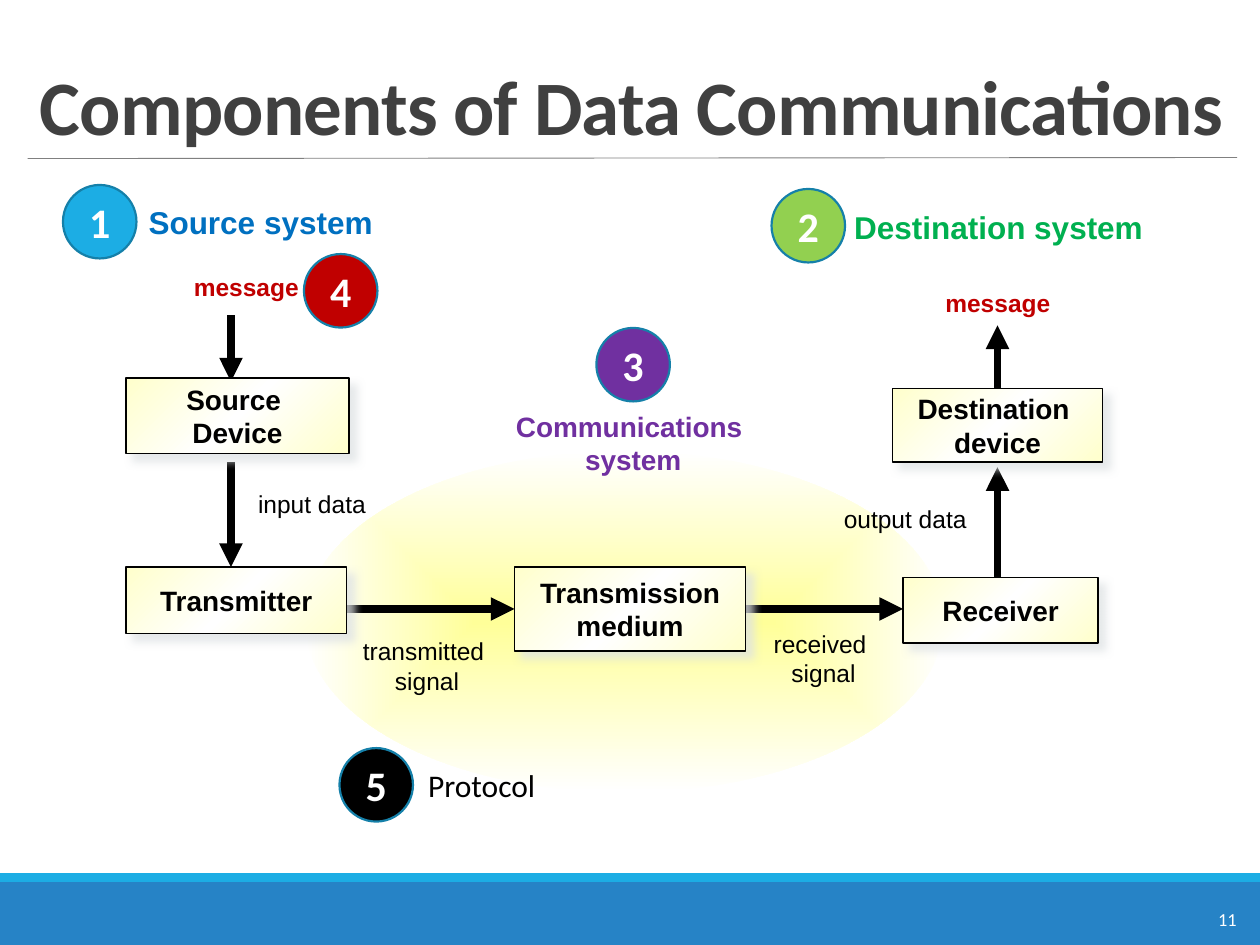
from dataclasses import dataclass

import pptx
import pptx.dml.color
import pptx.enum.shapes
import pptx.enum.text
import pptx.oxml
import pptx.oxml.ns
import pptx.shapes.autoshape
import pptx.slide
import pptx.util

Pt = pptx.util.Pt
ALIGN = pptx.enum.text.PP_ALIGN
ANCHOR = pptx.enum.text.MSO_ANCHOR
SHAPE = pptx.enum.shapes.MSO_SHAPE
DRAWING_NS = 'xmlns:a="http://schemas.openxmlformats.org/drawingml/2006/main"'

COLORS = {
    "footer": "2683C6", "accent": "1CADE4", "rule": "808080", "title": "404040",
    "white": "FFFFFF", "black": "000000", "message": "C00000",
    "source": "0070C0", "destination": "00B050", "system": "7030A0",
    "green": "92D050", "badge_line": "1580A9",
    "glow": "FFFF99", "box": "FFFFCC", "shadow": "DFE3E5",
}
BADGE_SIZE = 42
ARROW_WIDTH = 4.5


@dataclass
class Label:
    text: str
    left: float
    top: float
    width: float
    height: float
    size: float = 14
    color: str = "black"
    bold: bool = False
    font: str = "Arial"
    align: ALIGN = ALIGN.CENTER
    wrap: bool = True
    anchor: ANCHOR = ANCHOR.TOP


@dataclass
class Box:
    text: str
    left: float
    top: float
    width: float
    height: float


@dataclass
class Badge:
    number: int
    left: float
    top: float
    color: str


@dataclass
class Arrow:
    x1: float
    y1: float
    x2: float
    y2: float


LABELS = [
    Label("message", 56.9, 151.9, 167.8, 24.5, color="message", bold=True),
    Label("message", 532.8, 161.3, 74.9, 24.5, color="message", bold=True, wrap=False),
    Label("Communications \nsystem", 285.1, 230.4, 153.4, 46, 16, "system", True, wrap=False),
    Label("Source system", 77.8, 112.3, 142.6, 28.8, 18, "source", True,
          align=ALIGN.LEFT, wrap=False),
    Label("Destination system", 481, 115.2, 179.3, 28.8, 18, "destination", True,
          align=ALIGN.LEFT, wrap=False),
    Label("input data", 131.8, 275.8, 92.9, 23.8),
    Label("transmitted \nsignal", 174.2, 360, 139.7, 41),
    Label("received \nsignal", 409, 355.7, 123.1, 41),
    Label("output data", 468, 284.4, 98.6, 23.8),
    Label("Protocol", 237.6, 434.2, 76.3, 28.8, 18, font="Calibri",
          align=ALIGN.LEFT, wrap=False),
]
BOXES = [
    Box("Source \nDevice", 72, 216, 127.5, 43.2),
    Box("Transmitter", 72, 324, 126, 38),
    Box("Transmission\nmedium", 294, 324, 132, 48),
    Box("Receiver", 516, 330, 111.6, 37.4),
    Box("Destination \ndevice", 510, 222, 120, 42),
]
BADGES = [
    Badge(1, 36, 105.7, "accent"),
    Badge(2, 440.9, 108, "green"),
    Badge(3, 340.8, 187.4, "system"),
    Badge(4, 173.7, 145.2, "message"),
    Badge(5, 194, 427.5, "black"),
]
ARROWS = [
    Arrow(132, 180, 132, 218),
    Arrow(132, 264, 132, 324),
    Arrow(198, 348, 294, 348),
    Arrow(570, 222, 570, 186),
    Arrow(570, 333.5, 570, 267),
    Arrow(408, 348, 516, 348),
]


def rgb(name: str) -> pptx.dml.color.RGBColor:
    return pptx.dml.color.RGBColor.from_string(COLORS[name])


def write_text(shape: pptx.shapes.autoshape.Shape, label: Label) -> None:
    frame = shape.text_frame
    frame.text = label.text
    frame.word_wrap = label.wrap
    frame.vertical_anchor = label.anchor
    for para in frame.paragraphs:
        para.alignment = label.align
        for span in para.runs:
            span.font.name = label.font
            span.font.size = Pt(label.size)
            span.font.bold = label.bold
            span.font.color.rgb = rgb(label.color)


def add_label(page: pptx.slide.Slide, label: Label) -> pptx.shapes.autoshape.Shape:
    box = page.shapes.add_textbox(
        Pt(label.left), Pt(label.top), Pt(label.width), Pt(label.height))
    write_text(box, label)
    return box


def add_shape(page: pptx.slide.Slide, kind: SHAPE, left: float, top: float, width: float,
              height: float, fill: str = "", line: str = "",
              line_width: float = 1) -> pptx.shapes.autoshape.Shape:
    """Add a shadowless shape; an empty fill or line name means none."""
    shape = page.shapes.add_shape(kind, Pt(left), Pt(top), Pt(width), Pt(height))
    shape.shadow.inherit = False
    if fill:
        shape.fill.solid()
        shape.fill.fore_color.rgb = rgb(fill)
    else:
        shape.fill.background()
    if line:
        shape.line.color.rgb = rgb(line)
        shape.line.width = Pt(line_width)
    else:
        shape.line.fill.background()
    return shape


def set_gradient(shape: pptx.shapes.autoshape.Shape, names: list[str], direction: str) -> None:
    """Replace an absent fill with evenly spaced stops along the given direction XML."""
    stops = "".join(
        f'<a:gs pos="{100000 * index // (len(names) - 1)}">'
        f'<a:srgbClr val="{COLORS[name]}"/></a:gs>'
        for index, name in enumerate(names))
    gradient = pptx.oxml.parse_xml(
        f'<a:gradFill {DRAWING_NS} rotWithShape="1">'
        f'<a:gsLst>{stops}</a:gsLst>{direction}</a:gradFill>')
    properties = shape._element.spPr
    properties.replace(properties.find(pptx.oxml.ns.qn("a:noFill")), gradient)


def add_box(page: pptx.slide.Slide, box: Box) -> None:
    shape = add_shape(page, SHAPE.RECTANGLE, box.left, box.top, box.width, box.height,
                      line="black")
    set_gradient(shape, ["box", "white", "box"], '<a:lin ang="2700000" scaled="1"/>')
    effects = shape._element.spPr.find(pptx.oxml.ns.qn("a:effectLst"))
    effects.append(pptx.oxml.parse_xml(
        f'<a:outerShdw {DRAWING_NS} blurRad="{Pt(5)}" dist="{Pt(5.7)}" dir="2700000" '
        f'algn="ctr" rotWithShape="0"><a:srgbClr val="{COLORS["shadow"]}">'
        '<a:alpha val="75000"/></a:srgbClr></a:outerShdw>'))
    write_text(shape, Label(box.text, box.left, box.top, box.width, box.height, 16,
                            bold=True, wrap=False, anchor=ANCHOR.MIDDLE))


def add_badge(page: pptx.slide.Slide, badge: Badge) -> None:
    place = (badge.left, badge.top, BADGE_SIZE, BADGE_SIZE)
    shape = add_shape(page, SHAPE.OVAL, *place, badge.color, "badge_line", 1.25)
    write_text(shape, Label(str(badge.number), *place, 24, "white", True, "Calibri",
                            anchor=ANCHOR.MIDDLE))


def add_line(page: pptx.slide.Slide, ends: Arrow, color: str, width: float,
             head: bool = False) -> None:
    line = page.shapes.add_connector(
        pptx.enum.shapes.MSO_CONNECTOR.STRAIGHT,
        Pt(ends.x1), Pt(ends.y1), Pt(ends.x2), Pt(ends.y2))
    line.line.color.rgb = rgb(color)
    line.line.width = Pt(width)
    if head:
        line.line._get_or_add_ln().append(
            pptx.oxml.parse_xml(f'<a:tailEnd {DRAWING_NS} type="triangle"/>'))
    line._element.spPr.append(pptx.oxml.parse_xml(f'<a:effectLst {DRAWING_NS}/>'))


def main() -> None:
    deck = pptx.Presentation()
    deck.slide_width, deck.slide_height = Pt(720), Pt(540)
    page = deck.slides.add_slide(deck.slide_layouts[6])

    add_shape(page, SHAPE.RECTANGLE, 0, 504, 720, 36, "footer")
    add_shape(page, SHAPE.RECTANGLE, 0, 499, 720, 5, "accent")
    add_line(page, Arrow(15.8, 90.6, 707, 90), "rule", 0.5)
    add_label(page, Label("11", 689, 515.5, 26.6, 20, 10.5, "white", font="Calibri",
                          align=ALIGN.LEFT, wrap=False))
    title = add_label(page, Label("Components of Data Communications", 15.8, 18, 691.2, 72,
                                  44, "title", True, "Calibri", ALIGN.LEFT, False,
                                  ANCHOR.BOTTOM))
    heading = title.text_frame.paragraphs[0]
    heading.line_spacing = 0.85
    heading.runs[0]._r.get_or_add_rPr().set("spc", "-50")

    glow = add_shape(page, SHAPE.OVAL, 259.2, 172.8, 195, 365)
    glow.rotation = 90
    set_gradient(glow, ["glow", "white"],
                 '<a:path path="shape"><a:fillToRect l="50000" t="50000" '
                 'r="50000" b="50000"/></a:path>')

    for arrow in ARROWS:
        add_line(page, arrow, "black", ARROW_WIDTH, head=True)
    for box in BOXES:
        add_box(page, box)
    for label in LABELS:
        add_label(page, label)
    for badge in BADGES:
        add_badge(page, badge)

    deck.save("out.pptx")


if __name__ == "__main__":
    main()
